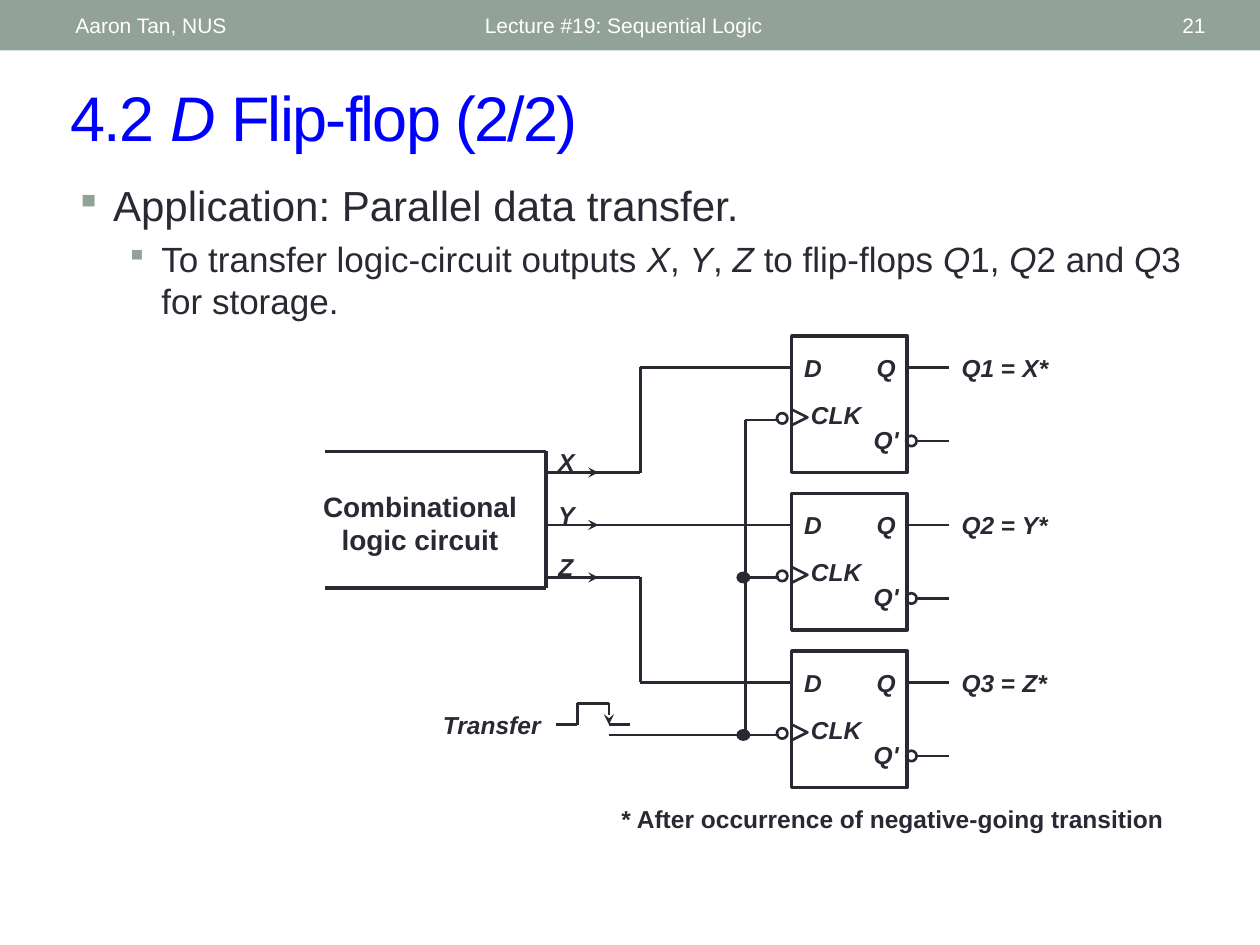
from lxml import etree
from pptx import Presentation
from pptx.dml.color import RGBColor
from pptx.enum.shapes import MSO_CONNECTOR, MSO_SHAPE
from pptx.enum.text import MSO_ANCHOR, PP_ALIGN
from pptx.oxml.ns import qn
from pptx.util import Inches, Pt

RECTANGLE, OVAL, TRIANGLE = MSO_SHAPE.RECTANGLE, MSO_SHAPE.OVAL, MSO_SHAPE.ISOSCELES_TRIANGLE
STRAIGHT = MSO_CONNECTOR.STRAIGHT
LEFT, CENTER, RIGHT = PP_ALIGN.LEFT, PP_ALIGN.CENTER, PP_ALIGN.RIGHT
TOP, MIDDLE = MSO_ANCHOR.TOP, MSO_ANCHOR.MIDDLE

THEME = {
    "font": "Arial",
    "ink": RGBColor.from_string("292934"),
    "title": RGBColor.from_string("0000FF"),
    "bar": RGBColor.from_string("93A299"),
    "white": RGBColor.from_string("FFFFFF"),
    "title_size": 36, "body_size": 24, "detail_size": 20,
    "block_size": 16, "label_size": 14, "header_size": 12,
    "wire": 1.5, "outline": 2, "dot": 0.75,
}
COLUMNS, ROWS = 120, 90

presentation = Presentation()
presentation.slide_width, presentation.slide_height = Inches(10), Inches(7.5)
CELL = presentation.slide_width // COLUMNS
slide = presentation.slides.add_slide(presentation.slide_layouts[6])


def add_text(area, paragraphs, size="label_size", color="ink", bold=True, align=LEFT, anchor=TOP):
    box = slide.shapes.add_textbox(*[int(value * CELL) for value in area])
    frame = box.text_frame
    frame.word_wrap, frame.vertical_anchor = True, anchor
    for index, (text, options) in enumerate(paragraphs):
        paragraph = frame.paragraphs[0] if index == 0 else frame.add_paragraph()
        properties = paragraph._p.get_or_add_pPr()
        for name in ("marL", "indent"):
            if name in options:
                properties.set(name, str(int(options[name] * CELL)))
        paragraph.alignment = align
        if "before" in options:
            paragraph.space_before = Pt(options["before"])
        if "bullet" in options:
            bullet_color = etree.SubElement(properties, qn("a:buClr"))
            etree.SubElement(bullet_color, qn("a:srgbClr"), val=str(THEME["bar"]))
            etree.SubElement(properties, qn("a:buSzPct"), val="85000")
            etree.SubElement(properties, qn("a:buChar"), char=options["bullet"])
        for part, words in enumerate(text.split("_")):
            if not words:
                continue
            run = paragraph.add_run()
            run.text = words
            run.font.color.rgb = THEME[color]
            font_format = {"name": THEME["font"], "size": Pt(THEME[options.get("size", size)]),
                           "bold": bold, "italic": part % 2 == 1}
            for name, value in font_format.items():
                setattr(run.font, name, value)
            if "spacing" in options:
                run.font._element.set("spc", options["spacing"])


def add_line(start, end, width="wire", arrow=False):
    line = slide.shapes.add_connector(STRAIGHT, *[int(value * CELL) for value in (*start, *end)])
    line.line.color.rgb, line.line.width = THEME["ink"], Pt(THEME[width])
    if arrow:
        etree.SubElement(line.line._get_or_add_ln(), qn("a:tailEnd"), type="stealth")
    etree.SubElement(line._element.spPr, qn("a:effectLst"))


bar = slide.shapes.add_shape(RECTANGLE, 0, 0, COLUMNS * CELL, int(4.8 * CELL))
bar.shadow.inherit = False
bar.fill.solid()
bar.fill.fore_color.rgb = THEME["bar"]
bar.line.fill.background()

for column, width, text, align in (
    (6, 38, "Aaron Tan, NUS", LEFT),
    (45, 54, "Lecture #19: Sequential Logic", LEFT),
    (104.6, 11.4, "21", RIGHT),
):
    add_text((column, 0.25, width, 4.3), [(text, {})], "header_size", "white", False, align, MIDDLE)

add_text((5.5, 6.85, 110.5, 8.4), [("4.2 _D_ Flip-flop (2/2)", {"spacing": "-100"})],
         "title_size", "title", False, anchor=MIDDLE)
add_text((6, 16.55, 108, 16.4), [
    ("Application: Parallel data transfer.", {"marL": 3.6, "indent": -3.6, "bullet": "▪"}),
    ("To transfer logic-circuit outputs _X_, _Y_, _Z_ to flip-flops _Q_1, _Q_2 and _Q_3 for storage.",
     {"marL": 8.2, "indent": -3.4, "bullet": "▪", "before": 4, "size": "detail_size"}),
], "body_size", bold=False)

BLOCK_LEFT, BLOCK_RIGHT, BUS, CLOCK_BUS = 31, 52, 61, 71
FLIP_LEFT, FLIP_RIGHT, OUTPUT_END = 75.4, 86.4, 90.4
FIRST_TOP, PITCH, SIGNAL_TOP, SIGNAL_PITCH = 32, 15, 45, 5
symbols = []

for index, signal in enumerate("XYZ"):
    top = FIRST_TOP + index * PITCH
    data, clock, inverse = top + 3, top + 8, top + 10
    wire = SIGNAL_TOP + index * SIGNAL_PITCH
    symbols += [
        (RECTANGLE, FLIP_LEFT, top, 11, 13, "outline", 0, False),
        (OVAL, FLIP_RIGHT - 0.1, inverse - 0.5, 1, 1, "wire", 0, False),
        (TRIANGLE, FLIP_LEFT, clock - 1, 1.5, 1.5, "wire", 90, False),
        (OVAL, 74, clock - 0.65, 1, 1, "wire", 0, False),
    ]
    if index > 0:
        symbols.append((OVAL, 70.2, clock - 0.5, 1.2, 1, "dot", 0, True))
    add_line((FLIP_RIGHT, data), (OUTPUT_END, data))
    add_line((FLIP_RIGHT + 0.9, inverse), (OUTPUT_END, inverse))
    add_line((58 if index == 2 else CLOCK_BUS, clock), (74.2, clock))
    add_line((BLOCK_RIGHT, wire), (57, wire), arrow=True)
    add_line((56, wire), (BUS, wire))
    if wire != data:
        add_line((BUS, wire), (BUS, data))
    add_line((BUS, data), (FLIP_LEFT, data))
    add_text((BLOCK_RIGHT, wire - 3, 5, 4), [(f"_{signal}_", {})])
    add_text((FLIP_LEFT, top + 1, 9, 8.8),
             [("_D_", {}), ("_CLK_", {"before": 10.2, "marL": 0.65})])
    add_text((81.4, top + 1, 6, 11), [("_Q_", {}), ("_Q'_", {"before": 24.5})], align=CENTER)
    add_text((OUTPUT_END, top + 1, 11, 4), [(f"_Q{index + 1} _=_ {signal}*_", {})])

for kind, column, row, width, height, weight, rotation, filled in symbols:
    shape = slide.shapes.add_shape(kind, *[int(value * CELL) for value in (column, row, width, height)])
    shape.shadow.inherit = False
    shape.rotation = rotation
    shape.line.color.rgb, shape.line.width = THEME["ink"], Pt(THEME[weight])
    if filled:
        shape.fill.solid()
        shape.fill.fore_color.rgb = THEME["ink"]
    else:
        shape.fill.background()

for start, end in (
    ((BLOCK_LEFT, 43), (BLOCK_RIGHT, 43)),
    ((BLOCK_LEFT, 56), (BLOCK_RIGHT, 56)),
    ((BLOCK_RIGHT, 43), (BLOCK_RIGHT, 56)),
):
    add_line(start, end, "outline")
add_line((CLOCK_BUS, FIRST_TOP + 8), (CLOCK_BUS, FIRST_TOP + 2 * PITCH + 8))

pulse = [(53, 69), (55, 69), (55, 67), (58, 67), (58, 69), (60, 69)]
for index, (start, end) in enumerate(zip(pulse, pulse[1:])):
    add_line(start, end, arrow=index == 3)

add_text((29, 46, 22, 7.7), [("Combinational logic circuit", {})], "block_size", align=CENTER)
add_text((41, 67, 13, 4), [("_Transfer_", {})])
add_text((58, 76, 55, 4), [("* After occurrence of negative-going transition", {})])

presentation.save("out.pptx")
